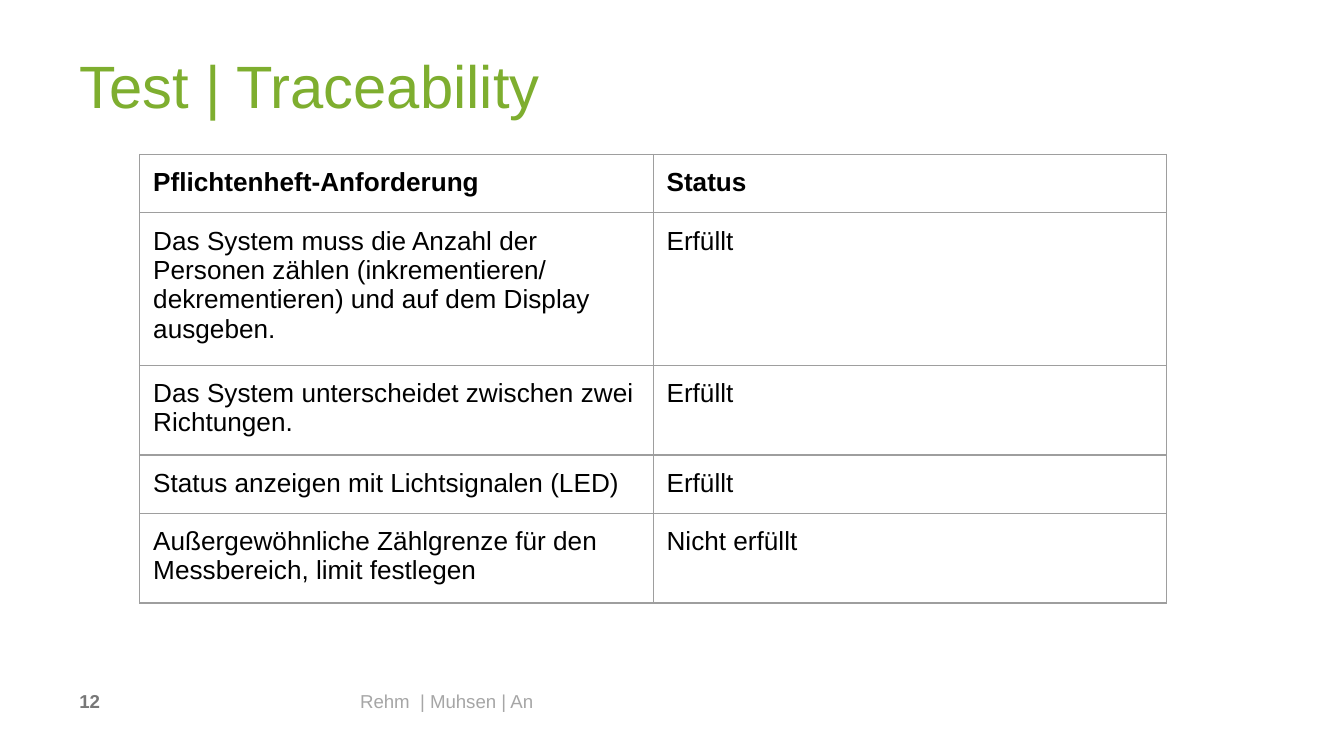
"""Build the test traceability slide with its requirements table."""
from lxml import etree
from pptx import Presentation, util as u
from pptx.dml.color import RGBColor
from pptx.oxml.ns import qn


def add_run(paragraph, content, size, color, bold=False):
    run = paragraph.add_run()
    run.text = content
    run.font.name = "Arial"
    run.font.size = u.Pt(size)
    run.font.bold = bold
    run.font.color.rgb = RGBColor.from_string(color)


presentation = Presentation()
presentation.slide_width = u.Inches(10)
presentation.slide_height = u.Inches(10 * 9 / 16)
slide = presentation.slides.add_slide(presentation.slide_layouts[6])

labels = [
    ("Test | Traceability", 0.59, 0.33, 8.23, 0.48, 32, "7EAE2F", False, 1.06),
    ("12", 0.59, 5.13, 1.89, 0.2, 10, "787878", True, 1),
    ("Rehm  | Muhsen | An", 2.68, 5.13, 6, 0.2, 10, "A6A6A6", False, 1),
]
for content, left, top, width, height, size, color, bold, spacing in labels:
    box = slide.shapes.add_textbox(u.Inches(left), u.Inches(top), u.Inches(width), u.Inches(height))
    frame = box.text_frame
    frame.word_wrap = True
    frame.margin_left = frame.margin_top = frame.margin_right = frame.margin_bottom = 0
    paragraph = frame.paragraphs[0]
    paragraph.line_spacing = spacing
    add_run(paragraph, content, size, color, bold)

requirements = [
    ("Pflichtenheft-Anforderung", "Status"),
    ("Das System muss die Anzahl der Personen zählen (inkrementieren/ dekrementieren) "
     "und auf dem Display ausgeben.", "Erfüllt"),
    ("Das System unterscheidet zwischen zwei Richtungen.", "Erfüllt"),
    ("Status anzeigen mit Lichtsignalen (LED)", "Erfüllt"),
    ("Außergewöhnliche Zählgrenze für den Messbereich, limit festlegen", "Nicht erfüllt"),
]
table_frame = slide.shapes.add_table(
    len(requirements), 2, u.Inches(1.04), u.Inches(1.15), u.Inches(7.64), u.Inches(2.11)
)
table = table_frame.table
table.horz_banding = False
for column in table.columns:
    column.width = u.Inches(3.82)

for row_index, values in enumerate(requirements):
    header = row_index == 0
    table.rows[row_index].height = u.Inches(0.43 if header else 0.42)
    for column_index, content in enumerate(values):
        cell = table.cell(row_index, column_index)
        cell.margin_left = cell.margin_top = cell.margin_right = cell.margin_bottom = u.Inches(0.1)
        add_run(cell.text_frame.paragraphs[0], content, 14, "000000", header)
        properties = cell._tc.get_or_add_tcPr()
        for side in ("a:lnL", "a:lnR", "a:lnT", "a:lnB"):
            border = etree.SubElement(properties, qn(side), w=str(u.Pt(0.75)))
            fill = etree.SubElement(border, qn("a:solidFill"))
            etree.SubElement(fill, qn("a:srgbClr"), val="9E9E9E")
        cell.fill.background()

table_frame.width = table_frame.height = u.Inches(3.28)

presentation.save("out.pptx")
